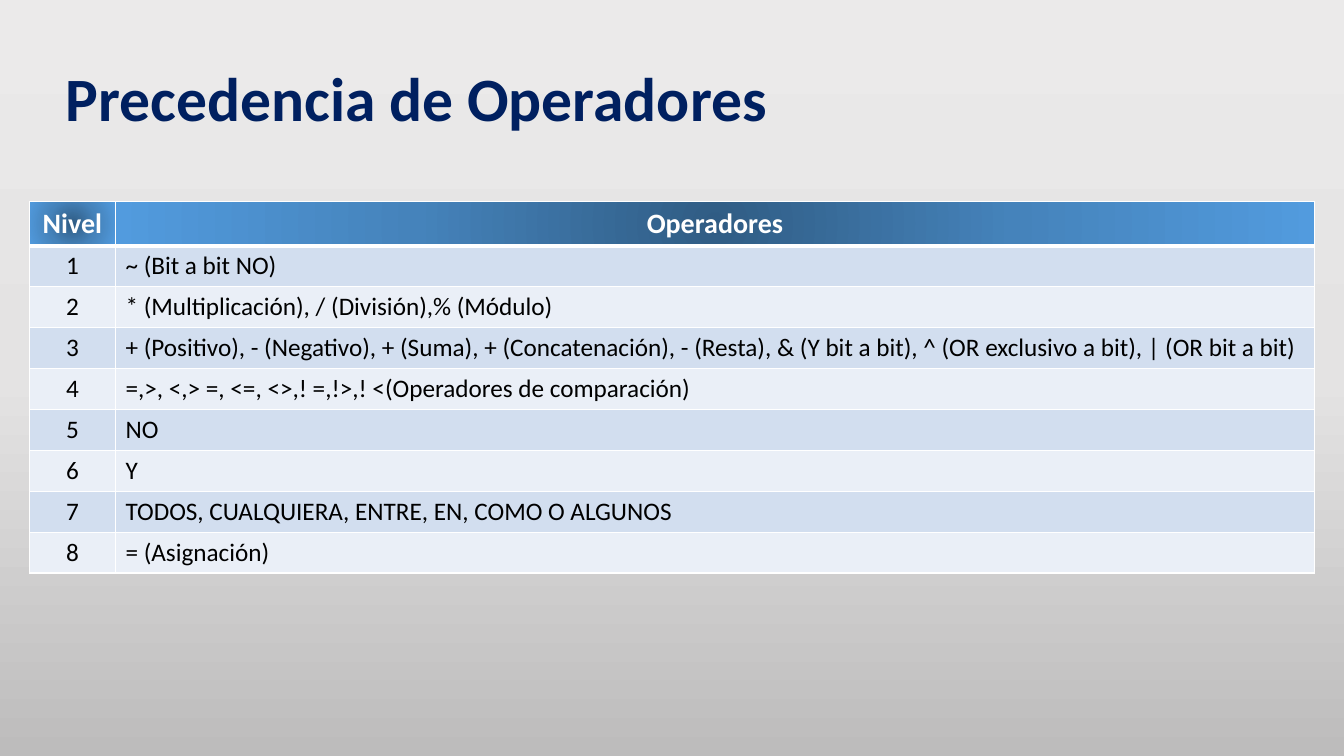
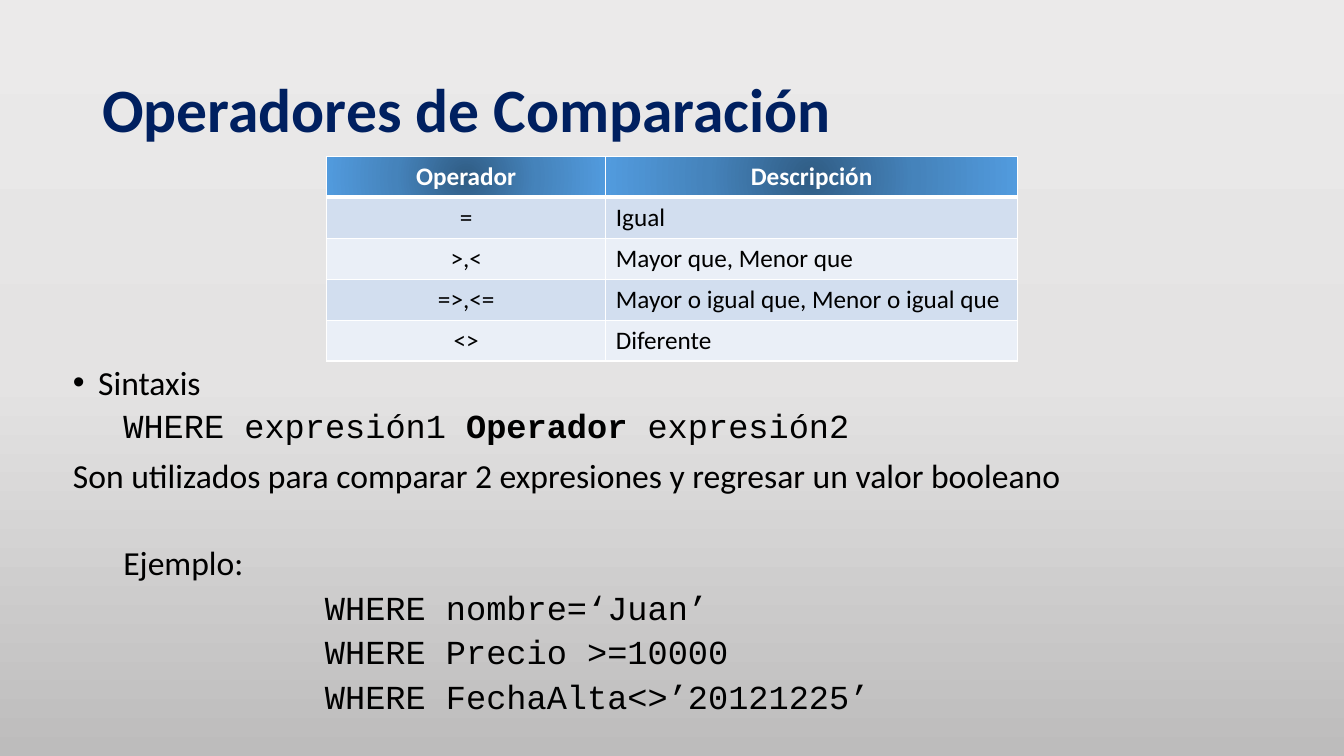
from lxml import etree
from pptx import Presentation, util as u
from pptx.dml.color import RGBColor
from pptx.enum import text
from pptx.oxml import parse_xml
from pptx.oxml.ns import nsdecls, qn

# Content
COLORS = {"title": "002060", "ink": "000000", "white": "FFFFFF",
          "odd": "D2DEEF", "even": "EAEFF7"}
BACKDROP = ("EBEAEA", "E4E3E3", "BDBCBC")
HEADER = ("305C84", "4583BB", "529BDE")
SANS, MONO = "Calibri", "Courier New"

SLIDES = [
    {"title": "Precedencia de Operadores", "title_at": (53, 27, 695, 139),
     "table_at": (28, 192), "columns": (82, 1142), "header_height": 42, "header_size": 20,
     "rows": [
         ("Nivel", "Operadores"),
         ("1", "~ (Bit a bit NO)"),
         ("2", "* (Multiplicación), / (División),% (Módulo)"),
         ("3", "+ (Positivo), - (Negativo), + (Suma), + (Concatenación), - (Resta), "
               "& (Y bit a bit), ^ (OR exclusivo a bit), | (OR bit a bit)"),
         ("4", "=,>, <,> =, <=, <>,! =,!>,! <(Operadores de comparación)"),
         ("5", "NO"),
         ("6", "Y"),
         ("7", "TODOS, CUALQUIERA, ENTRE, EN, COMO O ALGUNOS"),
         ("8", "= (Asignación)")]},
    {"title": "Operadores de Comparación", "title_at": (88, 38, 1104, 139),
     "table_at": (311, 149), "columns": (266, 392), "header_height": 39, "header_size": 18,
     "rows": [
         ("Operador", "Descripción"),
         ("=", "Igual"),
         (">,<", "Mayor que, Menor que"),
         ("=>,<=", "Mayor o igual que, Menor o igual que"),
         ("<>", "Diferente")]},
]
BODY_AT = (60, 344, 1140, 353)
# Text or (text, bold) runs, then the format of the paragraph
BODY = [
    ("Sintaxis", {"bullet": True, "left": 24}),
    ([("WHERE expresión1 ", False), ("Operador", True), (" expresión2", False)],
     {"font": MONO, "left": 48, "before": 5}),
    ("Son utilizados para comparar 2 expresiones y regresar un valor booleano", {"before": 10}),
    ("Ejemplo:", {"left": 48, "before": 36}),
    ("WHERE nombre=‘Juan’", {"font": MONO, "left": 240, "before": 6}),
    ("WHERE Precio >=10000", {"font": MONO, "left": 240, "before": 6}),
    ("WHERE FechaAlta<>’20121225’", {"font": MONO, "left": 240, "before": 6}),
]
ROW_HEIGHT = 39


def px(length):
    return u.Emu(length * 9525)


def gradient(colors, direction):
    stops = "".join(f'<a:gs pos="{i * 50000}"><a:srgbClr val="{color}"/></a:gs>'
                    for i, color in enumerate(colors))
    return parse_xml(f'<a:gradFill {nsdecls("a")} rotWithShape="1">'
                     f'<a:gsLst>{stops}</a:gsLst>{direction}</a:gradFill>')


def write(para, content, size=24, font=SANS, color="ink", bold=False, align=None,
          spacing=None, before=0, left=0, bullet=False):
    """Fill a paragraph with a string or with (text, bold) runs."""
    para.alignment = align
    para.line_spacing = spacing
    para.space_before = u.Pt(before)
    props = para._p.get_or_add_pPr()
    props.set("marL", str(px(left)))
    props.set("indent", str(-px(left) if bullet else 0))
    if bullet:
        etree.SubElement(props, qn("a:buFont")).set("typeface", "Arial")
        etree.SubElement(props, qn("a:buChar")).set("char", "•")
    for words, strong in [(content, bold)] if isinstance(content, str) else content:
        span = para.add_run()
        span.text = words
        span.font.size, span.font.name, span.font.bold = u.Pt(size), font, strong
        span.font.color.rgb = RGBColor.from_string(COLORS[color])


def add_box(page, at, anchor):
    frame = page.shapes.add_textbox(*map(px, at)).text_frame
    frame.word_wrap = True
    frame.vertical_anchor = anchor
    return frame


def add_page(deck, title, at):
    page = deck.slides.add_slide(deck.slide_layouts[6])
    fill = page.background.fill
    fill.solid()
    props = page._element.cSld.find(qn("p:bg")).find(qn("p:bgPr"))
    props.replace(props[0], gradient(BACKDROP, '<a:lin ang="5400000" scaled="0"/>'))
    frame = add_box(page, at, text.MSO_ANCHOR.MIDDLE)
    write(frame.paragraphs[0], title, size=44, color="title", bold=True, spacing=0.9)
    return page


def style_cell(cell, is_header, band):
    props = cell._tc.get_or_add_tcPr()
    for side in "LRTB":
        width = u.Pt(3 if is_header and side == "B" else 1)
        props.append(parse_xml(
            f'<a:ln{side} {nsdecls("a")} w="{width}"><a:solidFill>'
            f'<a:srgbClr val="{COLORS["white"]}"/></a:solidFill></a:ln{side}>'))
    if is_header:
        props.append(gradient(HEADER, '<a:path path="circle"><a:fillToRect l="50000" t="50000" '
                                      'r="50000" b="50000"/></a:path>'))
    else:
        cell.fill.solid()
        cell.fill.fore_color.rgb = RGBColor.from_string(COLORS[band])


def add_operator_table(page, rows, at, columns, header_height, header_size):
    heights = [header_height] + [ROW_HEIGHT] * (len(rows) - 1)
    table = page.shapes.add_table(len(rows), len(columns), *map(px, at),
                                  px(sum(columns)), px(sum(heights))).table
    for column, width in zip(table.columns, columns):
        column.width = px(width)
    for r, (values, height) in enumerate(zip(rows, heights)):
        table.rows[r].height = px(height)
        is_header = r == 0
        for c, value in enumerate(values):
            cell = table.cell(r, c)
            style_cell(cell, is_header, "odd" if r % 2 else "even")
            centred = is_header or c == 0
            write(cell.text_frame.paragraphs[0], value,
                  size=header_size if is_header else 18,
                  color="white" if is_header else "ink", bold=is_header,
                  align=text.PP_ALIGN.CENTER if centred else text.PP_ALIGN.LEFT)


def main():
    deck = Presentation()
    deck.slide_width, deck.slide_height = px(1280), px(720)
    for slide in SLIDES:
        page = add_page(deck, slide["title"], slide["title_at"])
        add_operator_table(page, slide["rows"], slide["table_at"], slide["columns"],
                           slide["header_height"], slide["header_size"])

    # Syntax and examples under the last table
    frame = add_box(page, BODY_AT, text.MSO_ANCHOR.TOP)
    for i, (content, style) in enumerate(BODY):
        para = frame.add_paragraph() if i else frame.paragraphs[0]
        write(para, content, spacing=0.9, **style)
    deck.save("out.pptx")


if __name__ == "__main__":
    main()
